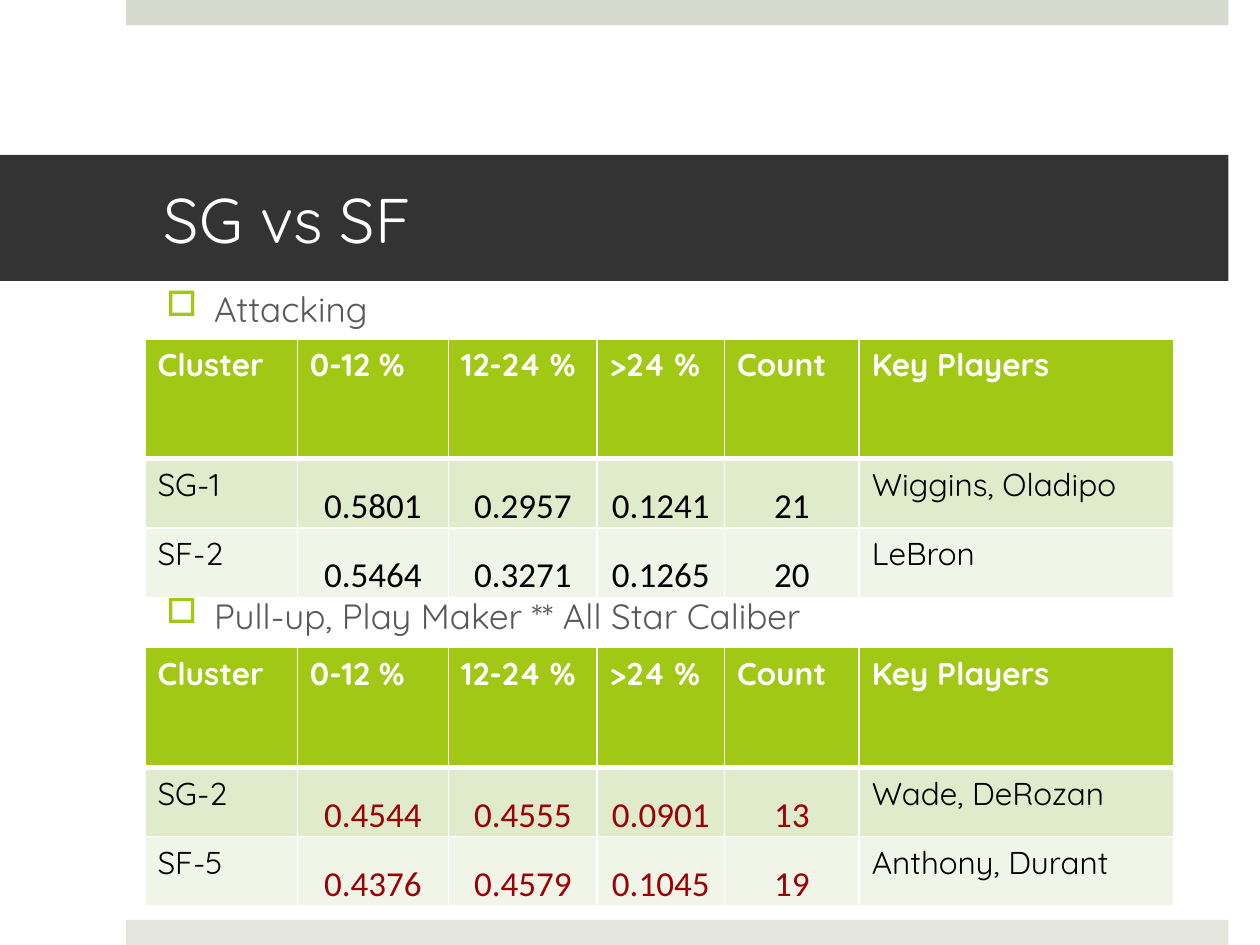
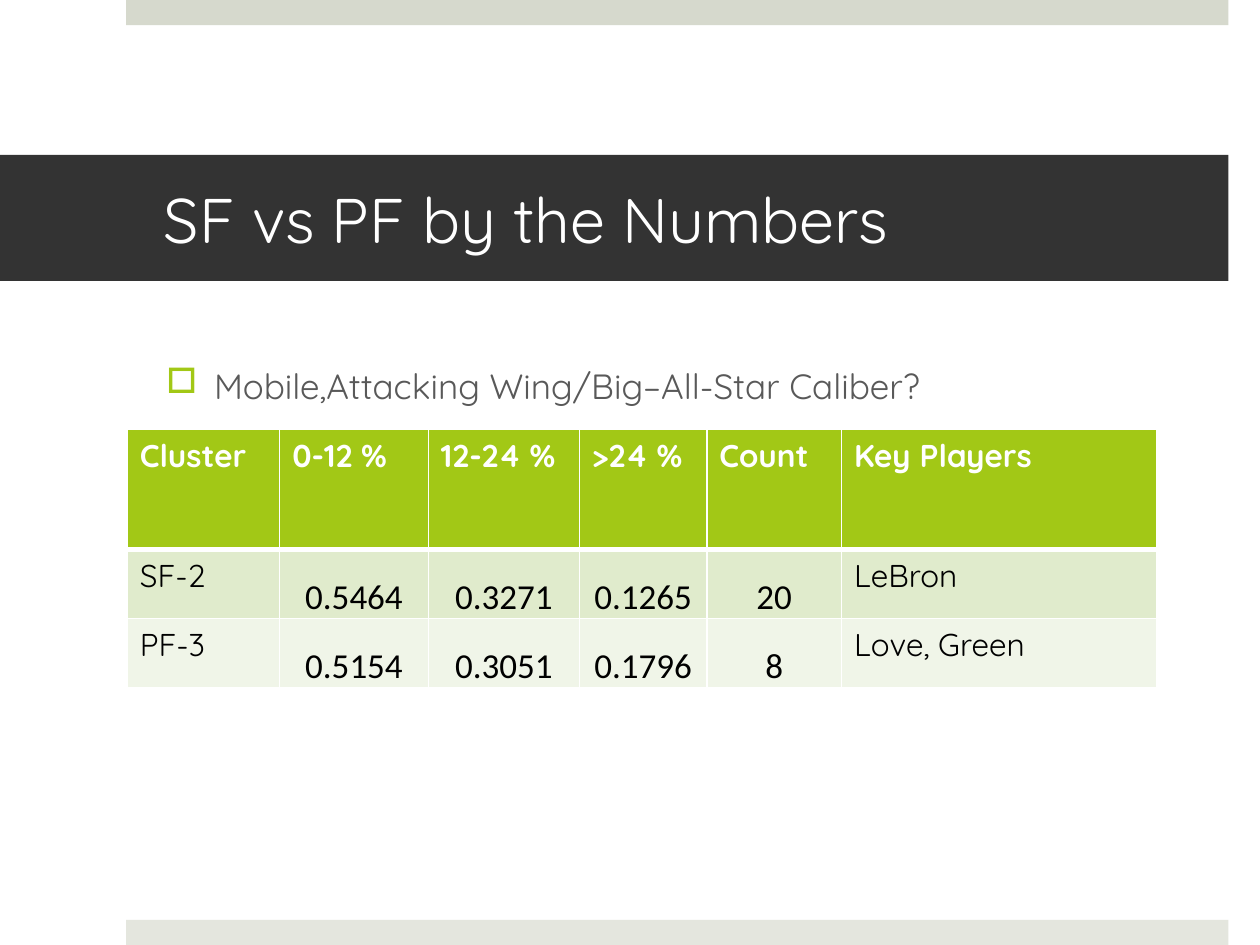
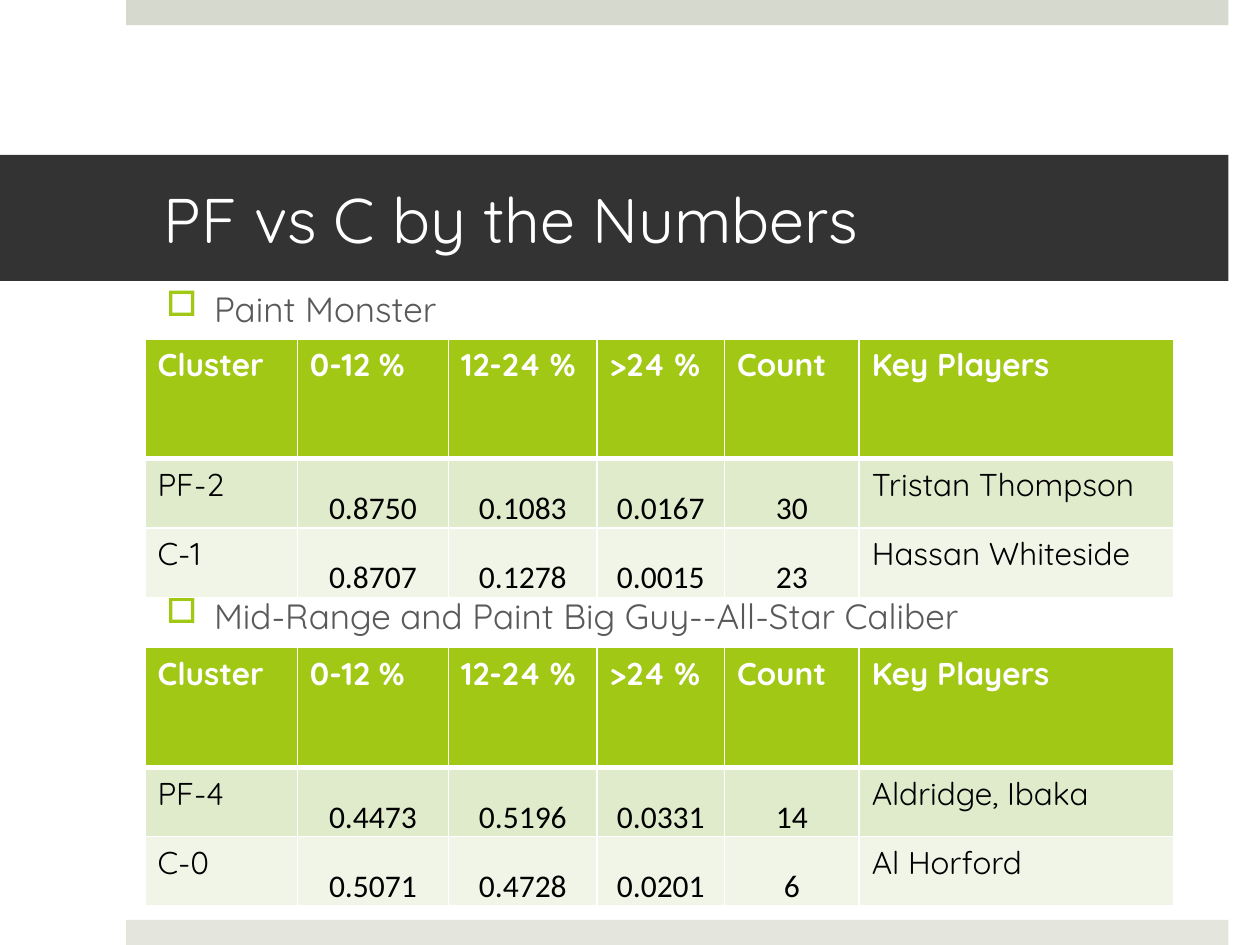
from dataclasses import dataclass
from typing import Any

from lxml import etree
from pptx import Presentation
from pptx.dml.color import RGBColor
from pptx.enum.shapes import MSO_SHAPE
from pptx.enum.text import MSO_ANCHOR, PP_ALIGN
from pptx.oxml.ns import qn
from pptx.util import Emu, Inches, Pt

RECTANGLE = MSO_SHAPE.RECTANGLE
MIDDLE, BOTTOM = MSO_ANCHOR.MIDDLE, MSO_ANCHOR.BOTTOM
LEFT, CENTER = PP_ALIGN.LEFT, PP_ALIGN.CENTER

# The slide is a grid of 100 columns by 75 rows.
SLIDE_WIDTH, SLIDE_HEIGHT = Inches(10), Inches(7.5)
GRID_COLUMNS, GRID_ROWS = 100, 75

WHITE, BLACK, DARK_RED = "FFFFFF", "000000", "9C0006"
CHARCOAL, GRAY, LIME = "333333", "595959", "A2C816"
TOP_BAND, BOTTOM_BAND = "D6D9CD", "E4E6DE"
ROW_FILLS = (LIME, "E0EBCC", "F0F5E8")

TITLE_FONT = {"name": "Quicksand", "size": Pt(36), "bold": False}
BULLET_FONT = {"name": "Quicksand", "size": Pt(20), "bold": False}
HEADER_FONT = {"name": "Quicksand", "size": Pt(18), "bold": True}
LABEL_FONT = {"name": "Quicksand", "size": Pt(18), "bold": False}
TITLE_FRAME = {"margin_left": Inches(1.3), "margin_right": Inches(0.3),
               "vertical_anchor": MIDDLE, "word_wrap": True}
NUMBER_CELL = {"margin_left": Inches(0.01), "margin_right": Inches(0.01),
               "margin_top": Inches(0.01), "margin_bottom": 0,
               "vertical_anchor": BOTTOM}

HEADER = ("Cluster", "0-12 %", "12-24 %", ">24 %", "Count", "Key Players")
NUMBER_COLUMNS = range(1, 5)
COLUMN_WIDTHS = (12.1, 12, 11.8, 10.1, 10.7, 25)
ROW_HEIGHTS = (9.5, 5.5, 5.5)
TABLE_PITCH = 24.5
BULLET_TO_TABLE = 4.6
BULLET_LINE = Pt(25)
BULLET_INDENT = Inches(0.38)
THIN_BORDER, HEADER_BORDER = Pt(1), Pt(3)


@dataclass(frozen=True)
class Box:
    left: float
    top: float
    width: float
    height: float

    def place(self) -> tuple[Emu, Emu, Emu, Emu]:
        return (columns(self.left), rows(self.top),
                columns(self.width), rows(self.height))


@dataclass(frozen=True)
class Comparison:
    bullet: str
    clusters: tuple[tuple[str, ...], ...]
    number_color: str = BLACK


@dataclass(frozen=True)
class Matchup:
    title: str
    comparisons: tuple[Comparison, ...]
    bullets_top: float = 22.3
    table_left: float = 11.5
    number_size: int = 20
    column_widths: tuple[float, ...] = COLUMN_WIDTHS


MATCHUPS = (
    Matchup("SG vs SF", (
        Comparison("Attacking", (
            ("SG-1", "0.5801", "0.2957", "0.1241", "21", "Wiggins, Oladipo"),
            ("SF-2", "0.5464", "0.3271", "0.1265", "20", "LeBron"))),
        Comparison("Pull-up, Play Maker ** All Star Caliber", (
            ("SG-2", "0.4544", "0.4555", "0.0901", "13", "Wade, DeRozan"),
            ("SF-5", "0.4376", "0.4579", "0.1045", "19", "Anthony, Durant")),
            DARK_RED))),
    Matchup("SF vs PF by the Numbers", (
        Comparison("Mobile,Attacking Wing/Big–All-Star Caliber?", (
            ("SF-2", "0.5464", "0.3271", "0.1265", "20", "LeBron"),
            ("PF-3", "0.5154", "0.3051", "0.1796", "8", "Love, Green"))),),
        bullets_top=29.5 - 1.1, table_left=10.1,
        column_widths=(12.1, 11.8, 12, 10.1, 10.7, 25)),
    Matchup("PF vs C by the Numbers", (
        Comparison("Paint Monster", (
            ("PF-2", "0.8750", "0.1083", "0.0167", "30", "Tristan Thompson"),
            ("C-1", "0.8707", "0.1278", "0.0015", "23", "Hassan Whiteside"))),
        Comparison("Mid-Range and Paint Big Guy--All-Star Caliber", (
            ("PF-4", "0.4473", "0.5196", "0.0331", "14", "Aldridge, Ibaka"),
            ("C-0", "0.5071", "0.4728", "0.0201", "6", "Al Horford")))),
        number_size=18),
)


def columns(count: float) -> Emu:
    return Emu(round(count * SLIDE_WIDTH / GRID_COLUMNS))


def rows(count: float) -> Emu:
    return Emu(round(count * SLIDE_HEIGHT / GRID_ROWS))


def rgb(color: str) -> RGBColor:
    return RGBColor.from_string(color)


def apply_format(target: Any, values: dict[str, Any]) -> None:
    for name, value in values.items():
        setattr(target, name, value)


def write(paragraph: Any, text: str, font: dict[str, Any], color: str) -> None:
    run = paragraph.add_run()
    run.text = text
    apply_format(run.font, font)
    run.font.color.rgb = rgb(color)


def add_band(slide: Any, box: Box, color: str) -> Any:
    band = slide.shapes.add_shape(RECTANGLE, *box.place())
    band.shadow.inherit = False
    band.fill.solid()
    band.fill.fore_color.rgb = rgb(color)
    band.line.fill.background()
    return band


def add_title(slide: Any, title: str) -> None:
    frame = add_band(slide, Box(0, 12.3, 97.5, 10), CHARCOAL).text_frame
    apply_format(frame, TITLE_FRAME)
    frame.paragraphs[0].alignment = LEFT
    write(frame.paragraphs[0], title, TITLE_FONT, WHITE)


def add_square_bullet(paragraph: Any) -> None:
    properties = paragraph._p.get_or_add_pPr()
    properties.set("marL", str(BULLET_INDENT))
    properties.set("indent", str(-BULLET_INDENT))
    color = etree.SubElement(properties, qn("a:buClr"))
    etree.SubElement(color, qn("a:srgbClr"), val=LIME)
    etree.SubElement(properties, qn("a:buChar"), char="□")


def add_bullets(slide: Any, matchup: Matchup) -> None:
    """Write the bullets in one box, spaced so that each heads its table."""
    box = Box(12.2, matchup.bullets_top, 83.2, 42.2)
    frame = slide.shapes.add_textbox(*box.place()).text_frame
    frame.word_wrap = True
    for index, comparison in enumerate(matchup.comparisons):
        paragraph = frame.add_paragraph() if index else frame.paragraphs[0]
        add_square_bullet(paragraph)
        if index:
            paragraph.space_before = Emu(rows(TABLE_PITCH) - BULLET_LINE)
        write(paragraph, comparison.bullet, BULLET_FONT, GRAY)


def set_borders(cell: Any, row: int) -> None:
    """Draw white cell borders, heavier between the header and the body."""
    heavy_side = {0: "B", 1: "T"}.get(row)
    properties = cell._tc.get_or_add_tcPr()
    for position, side in enumerate("LRTB"):
        width = HEADER_BORDER if side == heavy_side else THIN_BORDER
        line = etree.Element(qn(f"a:ln{side}"), w=str(width))
        fill = etree.SubElement(line, qn("a:solidFill"))
        etree.SubElement(fill, qn("a:srgbClr"), val=WHITE)
        properties.insert(position, line)


def fill_cell(cell: Any, text: str, row: int, column: int,
              number_font: dict[str, Any], number_color: str) -> None:
    cell.fill.solid()
    cell.fill.fore_color.rgb = rgb(ROW_FILLS[row])
    set_borders(cell, row)
    paragraph = cell.text_frame.paragraphs[0]
    if row == 0:
        write(paragraph, text, HEADER_FONT, WHITE)
    elif column in NUMBER_COLUMNS:
        apply_format(cell, NUMBER_CELL)
        paragraph.alignment = CENTER
        write(paragraph, text, number_font, number_color)
    else:
        write(paragraph, text, LABEL_FONT, BLACK)


def add_cluster_table(slide: Any, matchup: Matchup, index: int) -> None:
    comparison = matchup.comparisons[index]
    records = (HEADER, *comparison.clusters)
    top = matchup.bullets_top + BULLET_TO_TABLE + index * TABLE_PITCH
    if len(matchup.comparisons) == 1:
        top += 1.1
    box = Box(matchup.table_left, top,
              sum(matchup.column_widths), sum(ROW_HEIGHTS))
    table = slide.shapes.add_table(len(records), len(HEADER), *box.place()).table
    table.horz_banding = False
    for column, width in zip(table.columns, matchup.column_widths):
        column.width = columns(width)
    for row, height in zip(table.rows, ROW_HEIGHTS):
        row.height = rows(height)
    number_font = {"name": "Calibri", "size": Pt(matchup.number_size), "bold": False}
    for row, record in enumerate(records):
        for column, text in enumerate(record):
            fill_cell(table.cell(row, column), text, row, column,
                      number_font, comparison.number_color)


def add_matchup(presentation: Any, matchup: Matchup) -> None:
    slide = presentation.slides.add_slide(presentation.slide_layouts[6])
    add_band(slide, Box(10, 0, 87.5, 2), TOP_BAND)
    add_band(slide, Box(10, 73, 87.5, 2), BOTTOM_BAND)
    add_title(slide, matchup.title)
    add_bullets(slide, matchup)
    for index in range(len(matchup.comparisons)):
        add_cluster_table(slide, matchup, index)


def main() -> None:
    presentation = Presentation()
    presentation.slide_width = SLIDE_WIDTH
    presentation.slide_height = SLIDE_HEIGHT
    for matchup in MATCHUPS:
        add_matchup(presentation, matchup)
    presentation.save("out.pptx")


if __name__ == "__main__":
    main()
